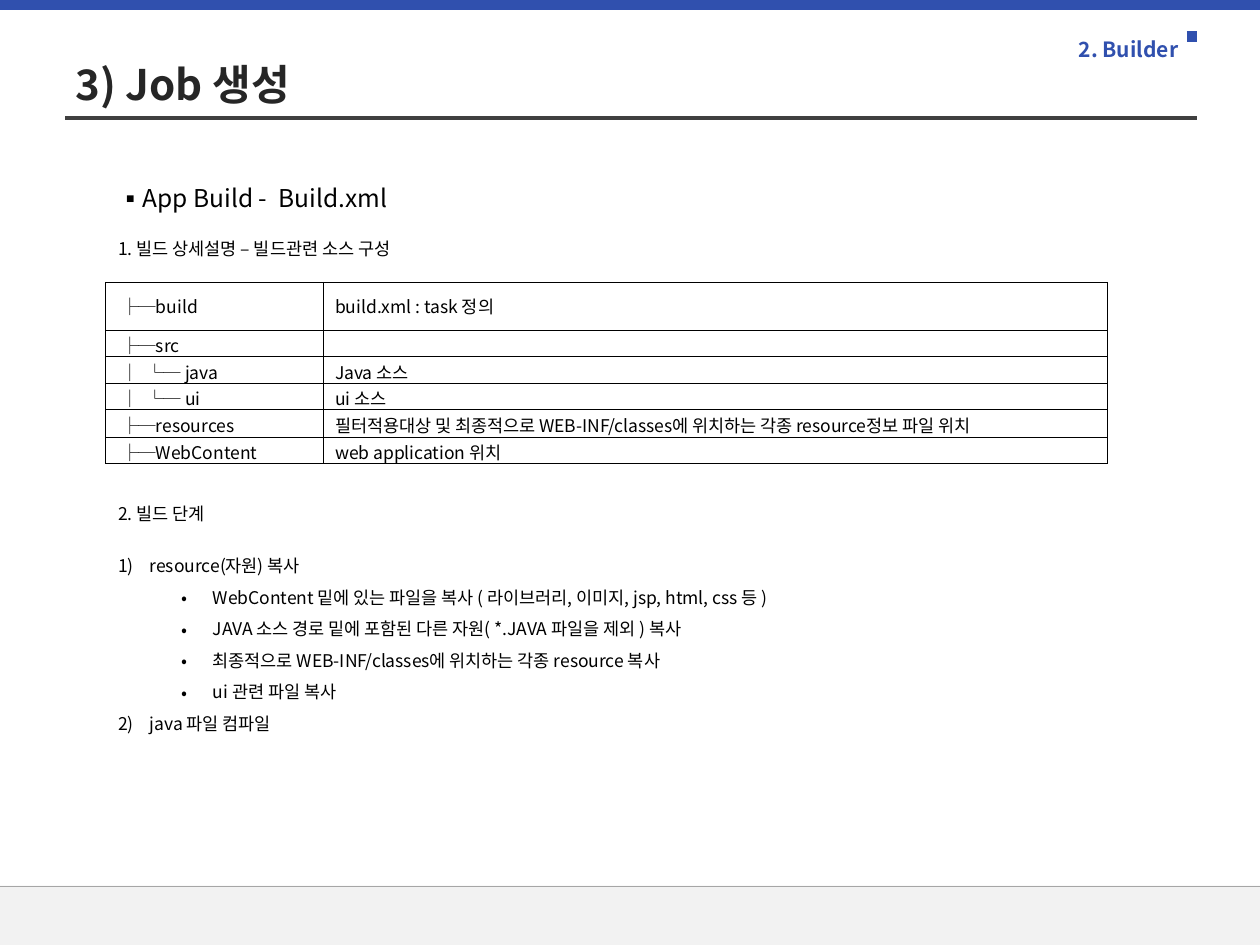
from typing import NamedTuple

from lxml.etree import SubElement
from pptx import Presentation
from pptx.dml.color import RGBColor
from pptx.enum.shapes import MSO_CONNECTOR as Link, MSO_SHAPE as Shape
from pptx.enum.text import MSO_ANCHOR as Anchor, PP_ALIGN as Align
from pptx.oxml.ns import qn
from pptx.util import Emu, Inches, Pt

FONT = "Noto Sans CJK KR"
WIDE, HIGH = 10, 7.5
LEFT = 0.84
BLUE, INK = "3050AE", "000000"


class Rule(NamedTuple):
    start: float
    end: float
    y: float
    hue: str
    weight: float


class Para(NamedTuple):
    text: str
    mark: str = ""  # a bullet sign, or "#" for automatic numbers
    indent: float = 0
    hang: float = 0.25
    level: int = 0
    lines: float = 1
    before: float = 0
    size: float = 10
    hue: str = INK
    bold: bool = False
    align: Align = Align.LEFT


RULES = [
    Rule(0, WIDE, 7.03, "A6A6A6", 0.25),
    Rule(0, WIDE, 0.04, BLUE, 6),
    Rule(0.52, 9.5, 0.94, "404040", 2.25),
    Rule(9.42, 9.5, 0.29, BLUE, 6),
]

COLS = [1.73, 6.22]
ROWS = [0.38, 0.21, 0.21, 0.21, 0.22, 0.21]
TREE = [
    (" ├─build", "build.xml : task 정의"),
    (" ├─src", ""),
    (" │  └─ java", "Java 소스"),
    (" │  └─ ui", "ui 소스"),
    (" ├─resources", "필터적용대상 및 최종적으로 WEB-INF/classes에 위치하는 "
                    "각종 resource정보 파일 위치"),
    (" ├─WebContent", "web application 위치"),
]


def step(text: str, before: float = 0) -> Para:
    return Para(text, "#", 0.25, lines=1.5, before=before)


def item(text: str) -> Para:
    return Para(text, "•", 0.75, level=1, lines=1.5)


STEPS = [
    Para("2. 빌드 단계"),
    step("resource(자원) 복사", before=12),
    item("WebContent 밑에 있는 파일을 복사 ( 라이브러리, 이미지, jsp, html, css 등 )"),
    item("JAVA 소스 경로 밑에 포함된 다른 자원( *.JAVA 파일을 제외 ) 복사"),
    item("최종적으로 WEB-INF/classes에 위치하는 각종 resource 복사"),
    item("ui 관련 파일 복사"),
    step("java 파일 컴파일"),
]


def color(code: str) -> RGBColor:
    return RGBColor.from_string(code)


def write(frame, paras: list[Para]) -> None:
    frame.word_wrap = True
    for i, para in enumerate(paras):
        p = frame.add_paragraph() if i else frame.paragraphs[0]
        p.text, p.level, p.alignment = para.text, para.level, para.align
        p.line_spacing, p.space_before = para.lines, Pt(para.before)
        props = p._p.get_or_add_pPr()
        if para.mark:
            props.set("marL", str(Inches(para.indent)))
            props.set("indent", str(-Inches(para.hang)))
            if para.mark == "#":
                SubElement(props, qn("a:buAutoNum"), type="arabicParenR")
            else:
                SubElement(props, qn("a:buFont"), typeface=FONT)
                SubElement(props, qn("a:buChar"), char=para.mark)
        font = p.font
        font.name, font.size, font.bold = FONT, Pt(para.size), para.bold
        font.color.rgb = color(para.hue)
        SubElement(props.find(qn("a:defRPr")), qn("a:ea"), typeface=FONT)
        if not para.text:
            SubElement(p._p, qn("a:endParaRPr"), sz=str(int(para.size * 100)))


def place(shape, x: float, y: float, w: float, h: float) -> None:
    shape.left, shape.top = Inches(x), Inches(y)
    shape.width, shape.height = Inches(w), Inches(h)


def add_text(slide, x: float, y: float, w: float, h: float,
             *paras: Para) -> None:
    box = slide.shapes.add_textbox(*map(Inches, (x, y, w, h)))
    write(box.text_frame, list(paras))


def add_rule(slide, rule: Rule) -> None:
    ends = (rule.start, rule.y, rule.end, rule.y)
    line = slide.shapes.add_connector(Link.STRAIGHT, *map(Inches, ends))
    line.line.color.rgb = color(rule.hue)
    line.line.width = Pt(rule.weight)
    SubElement(line._element.spPr, qn("a:effectLst"))


def add_footer(slide) -> None:
    band = slide.shapes.add_shape(
        Shape.RECTANGLE, *map(Inches, (0, 7.03, WIDE, HIGH - 7.03)))
    band.shadow.inherit = False
    band.fill.solid()
    band.fill.fore_color.rgb = color("F2F2F2")
    band.line.fill.background()


def edge(cell) -> None:
    """Draw a thin black border on all four sides."""
    props = cell._tc.get_or_add_tcPr()
    for i, side in enumerate("LRTB"):
        line = SubElement(props, qn(f"a:ln{side}"), w=str(Pt(0.5)))
        fill = SubElement(line, qn("a:solidFill"))
        SubElement(fill, qn("a:srgbClr"), val=INK)
        props.insert(i, line)


def add_tree(slide) -> None:
    area = (LEFT, 2.24, sum(COLS), sum(ROWS))
    table = slide.shapes.add_table(
        len(ROWS), len(COLS), *map(Inches, area)).table
    table.first_row = table.horz_banding = False
    for col, width in zip(table.columns, COLS):
        col.width = Inches(width)
    for row, height, texts in zip(table.rows, ROWS, TREE):
        row.height = Inches(height)
        for cell, text in zip(row.cells, texts):
            cell.fill.background()
            cell.vertical_anchor = Anchor.MIDDLE
            cell.margin_left, cell.margin_right = Inches(0.09), Inches(0.01)
            cell.margin_top = cell.margin_bottom = Inches(0.02)
            write(cell.text_frame, [Para(text)])
            edge(cell)


def main() -> None:
    deck = Presentation()
    deck.slide_width, deck.slide_height = Inches(WIDE), Inches(HIGH)
    slide = deck.slides.add_slide(deck.slide_layouts[5])
    add_footer(slide)
    for rule in RULES:
        add_rule(slide, rule)
    title = slide.shapes.title
    place(title, 0.5, 0.39, 9, 0.55)
    title.text_frame.vertical_anchor = Anchor.MIDDLE
    write(title.text_frame,
          [Para("3) Job 생성", size=24, hue="262626", bold=True)])
    add_text(slide, 4.74, 0.14, 4.71, 0.24,
             Para("2. Builder", lines=1.5, size=12, hue=BLUE, bold=True,
                  align=Align.RIGHT))
    add_text(slide, LEFT, 1.29, 2.37, 1.01,
             Para("App Build -  Build.xml", "▪", 0.19, 0.19, lines=1.5,
                  size=14))
    add_text(slide, LEFT, 1.84, 9, 0.27,
             Para("1. 빌드 상세설명 – 빌드관련 소스 구성"))
    add_tree(slide)
    add_text(slide, LEFT, 3.94, sum(COLS), 1.95, *STEPS)
    deck.save("out.pptx")


if __name__ == "__main__":
    main()
